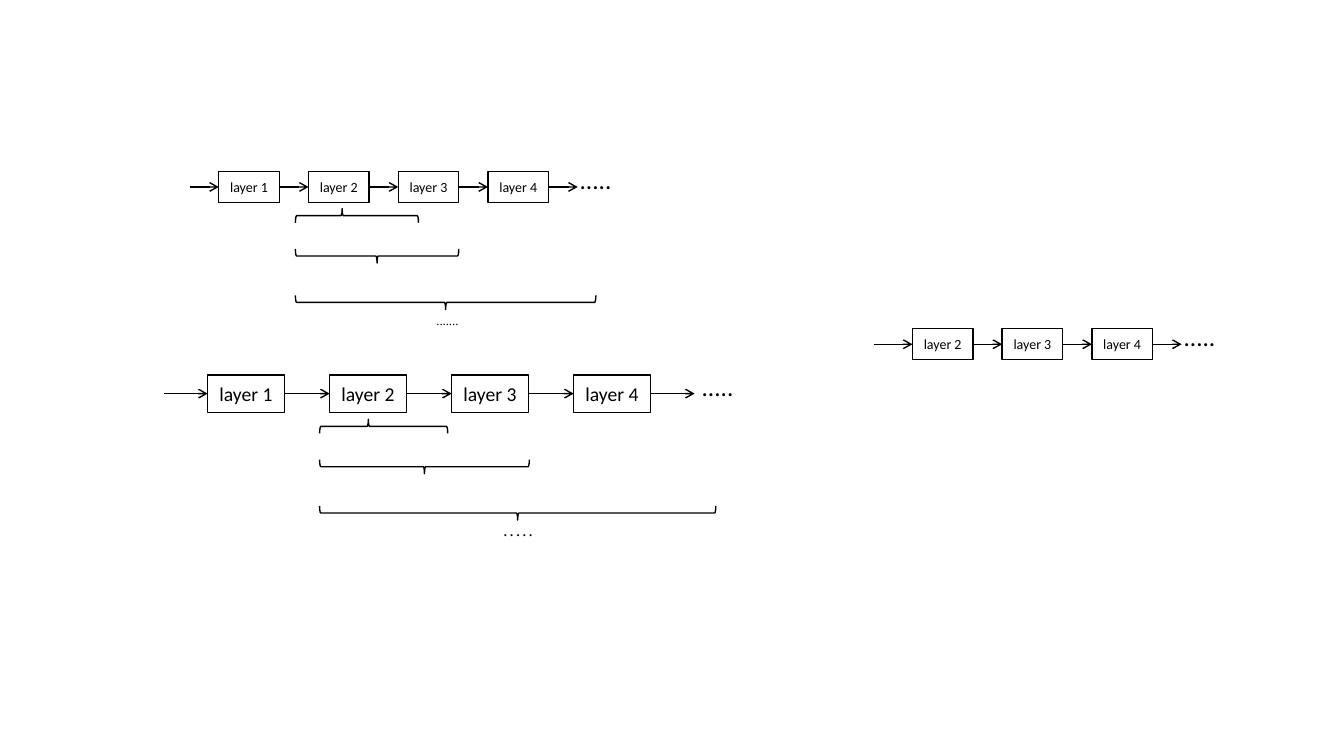
from dataclasses import dataclass

from lxml import etree
from pptx import Presentation
from pptx.dml.color import RGBColor
from pptx.enum import shapes, text
from pptx.oxml import ns
from pptx.util import Inches, Pt

BLACK = RGBColor(0x00, 0x00, 0x00)


@dataclass
class Chain:
    first: int
    left: float
    top: float
    width: float
    height: float
    pitch: float
    lead_in: float
    lead_out: float
    dots_at: tuple[float, float]
    size: int


@dataclass
class BraceStack:
    left: float
    top: float
    spans: tuple[float, float, float]
    more_at: tuple[float, float]
    more: str
    bold: bool


CHAINS = [
    Chain(1, 2.17, 1.7, 0.6, 0.31, 0.89, 0.29, 0.29, (5.65, 1.58), 10),
    Chain(1, 2.06, 3.72, 0.76, 0.37, 1.21, 0.43, 0.44, (6.86, 3.63), 14),
    Chain(2, 9.05, 3.26, 0.6, 0.31, 0.89, 0.38, 0.29, (11.64, 3.14), 10),
]
LAST_LAYER = 4
STACKS = [
    BraceStack(2.93, 2.07, (1.22, 1.62, 2.98), (4.23, 3.06), ".......", False),
    BraceStack(3.17, 4.16, (1.27, 2.08, 3.93), (4.9, 5.15), ". . . . .", True),
]
BRACE_DROPS = (0, 0.4, 0.86)
BRACE_DEPTH = 0.14

prs = Presentation()
prs.slide_width, prs.slide_height = Inches(13.33), Inches(7.5)
slide = prs.slides.add_slide(prs.slide_layouts[6])


def write(frame, words: str, **formats) -> None:
    paragraph = frame.paragraphs[0]
    paragraph.text = words
    for name, value in formats.items():
        setattr(paragraph.font, name, value)
    paragraph.font.color.rgb = BLACK


def outline(kind, left: float, top: float, width: float, height: float):
    shape = slide.shapes.add_shape(
        kind, Inches(left), Inches(top), Inches(width), Inches(height))
    shape.shadow.inherit = False
    shape.fill.background()
    shape.line.color.rgb = BLACK
    shape.line.width = Pt(1)
    return shape


def layer_box(chain: Chain, number: int, left: float) -> None:
    box = outline(shapes.MSO_SHAPE.RECTANGLE, left, chain.top,
                  chain.width, chain.height)
    frame = box.text_frame
    settings = {"margin_left": 0, "margin_right": 0, "word_wrap": True,
                "vertical_anchor": text.MSO_ANCHOR.MIDDLE}
    for name, value in settings.items():
        setattr(frame, name, value)
    write(frame, f"layer {number}", name="Calibri", size=Pt(chain.size))
    frame.paragraphs[0].alignment = text.PP_ALIGN.CENTER


def arrow(start: float, end: float, y: float) -> None:
    line = slide.shapes.add_connector(
        shapes.MSO_CONNECTOR.STRAIGHT,
        Inches(start), Inches(y), Inches(end), Inches(y))
    line.line.color.rgb = BLACK
    line.line.width = Pt(1)
    etree.SubElement(line.line._get_or_add_ln(), ns.qn("a:tailEnd"), type="arrow")
    etree.SubElement(line._element.spPr, ns.qn("a:effectLst"))


def dots(at: tuple[float, float], width: float, height: float, words: str,
         **formats) -> None:
    box = slide.shapes.add_textbox(
        Inches(at[0]), Inches(at[1]), Inches(width), Inches(height))
    # No right margin, so that the dots stay on one line
    box.text_frame.margin_right = 0
    box.text_frame.word_wrap = True
    write(box.text_frame, words, **formats)


def draw_chain(chain: Chain) -> None:
    middle = chain.top + chain.height / 2
    count = LAST_LAYER - chain.first + 1
    arrow(chain.left - chain.lead_in, chain.left, middle)
    for i in range(count):
        left = chain.left + i * chain.pitch
        right = left + chain.width
        layer_box(chain, chain.first + i, left)
        is_last = i == count - 1
        arrow(right, right + chain.lead_out if is_last else left + chain.pitch,
              middle)
    dots(chain.dots_at, 0.51, 0.4, ".....", name="Calibri", size=Pt(18))


def draw_braces(stack: BraceStack) -> None:
    for i, (span, drop) in enumerate(zip(stack.spans, BRACE_DROPS)):
        # Turning a shape keeps its centre
        center_x = stack.left + span / 2
        center_y = stack.top + drop + BRACE_DEPTH / 2
        brace = outline(shapes.MSO_SHAPE.LEFT_BRACE,
                        center_x - BRACE_DEPTH / 2, center_y - span / 2,
                        BRACE_DEPTH, span)
        brace.rotation = 270
        if i == 0:  # the top brace points up, off centre
            brace.rotation = 90
            brace.adjustments[1] = 0.62
    dots(stack.more_at, 0.46, 0.24, stack.more,
         name="Times New Roman", size=Pt(9), bold=stack.bold)


# Layer chains
for chain in CHAINS:
    draw_chain(chain)

# Braces below the two left chains
for stack in STACKS:
    draw_braces(stack)

prs.save("out.pptx")
